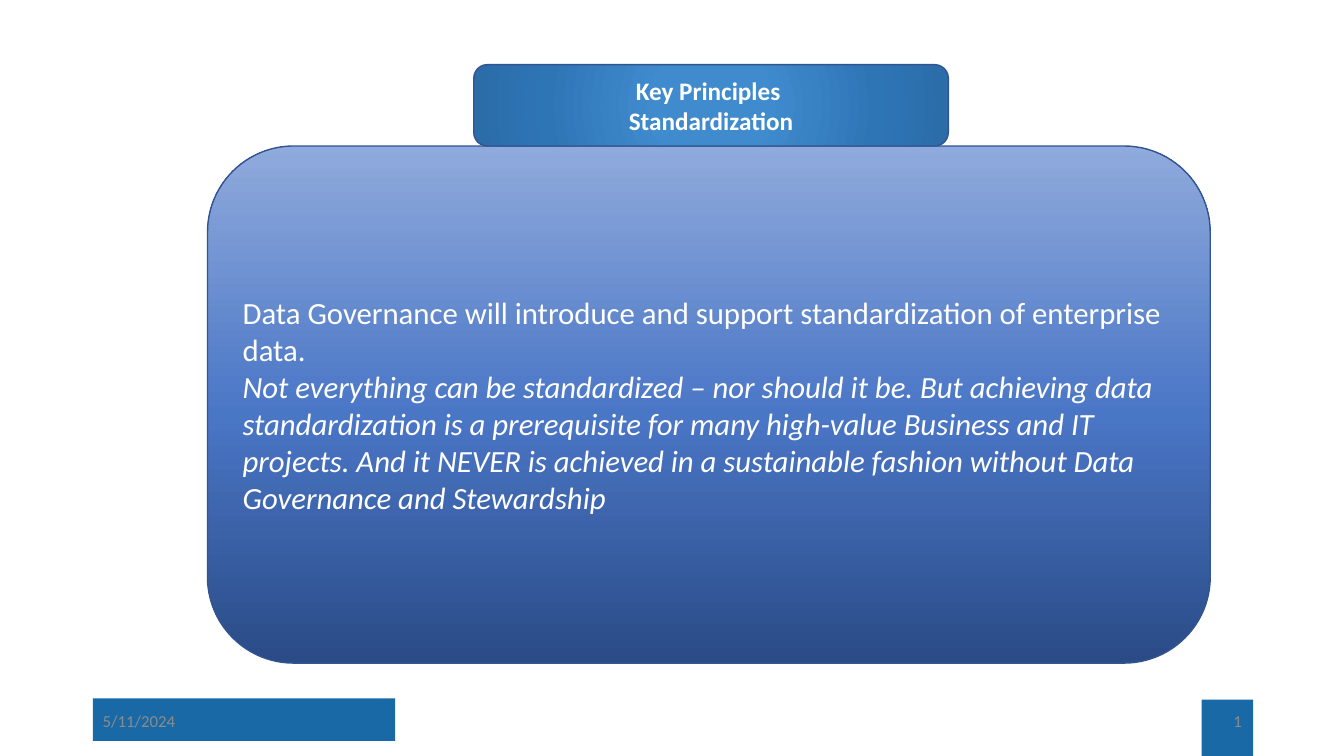
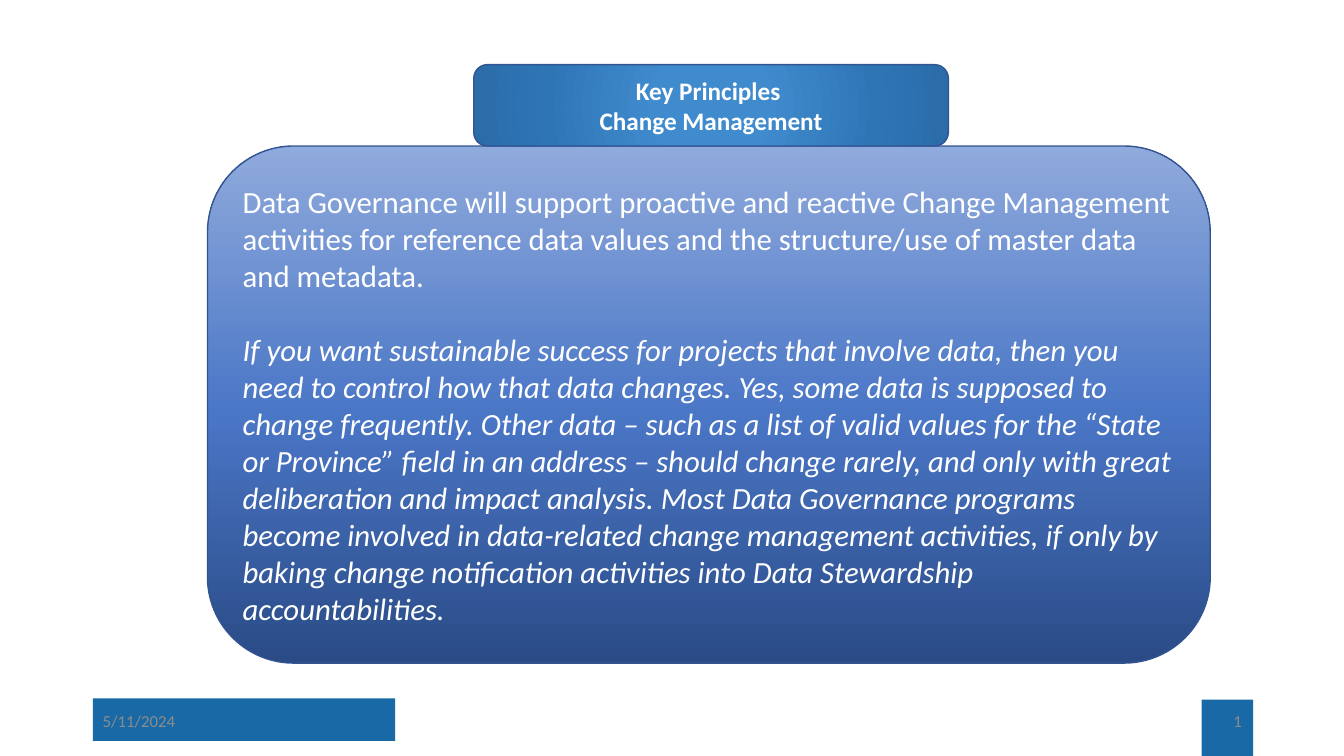
import pptx
import pptx.dml.color
import pptx.enum.shapes
import pptx.enum.text
import pptx.oxml
import pptx.oxml.ns
import pptx.util

Cm, Pt = pptx.util.Cm, pptx.util.Pt
KIND = pptx.enum.shapes.MSO_SHAPE
ALIGN = pptx.enum.text.PP_ALIGN
MIDDLE = pptx.enum.text.MSO_ANCHOR.MIDDLE

# heading, plain statement, italic comment, gap before the comment in points
SLIDES = [
    ("Standardization",
     "Data Governance will introduce and support standardization of "
     "enterprise data.",
     "Not everything can be standardized – nor should it be. But achieving "
     "data standardization is a prerequisite for many high-value Business "
     "and IT projects. And it NEVER is achieved in a sustainable fashion "
     "without Data Governance and Stewardship", 0),
    ("Change Management",
     "Data Governance will support proactive and reactive Change Management "
     "activities for reference data values and the structure/use of master "
     "data and metadata.",
     "If you want sustainable success for projects that involve data, then "
     "you need to control how that data changes. Yes, some data is supposed "
     "to change frequently. Other data – such as a list of valid values for "
     "the “State or Province” field in an address – should change rarely, "
     "and only with great deliberation and impact analysis. Most Data "
     "Governance programs become involved in data-related change management "
     "activities, if only by baking change notification activities into "
     "Data Stewardship accountabilities.", 26.5),
]
TOPIC = "Key Principles "
DATE, NUMBER = "5/11/2024", "1"

FONT = "Calibri"
WHITE, GREY, BAND, EDGE = "FFFFFF", "8C8C8C", "1869A6", "325491"
PANEL_FILL = [(0, "2A4B86"), (48, "4A76C6"), (100, "8FAADC")]
TITLE_FILL = [(0, "408BCE"), (23, "408BCE"), (69, "2E75B6"), (97, "2B6DA9")]
UPWARD = '<a:lin ang="16200000" scaled="0"/>'
RADIAL = ('<a:path path="circle"><a:fillToRect l="50000" t="50000" '
          'r="50000" b="50000"/></a:path>')

# left, top, width, height in centimetres
WIDE, HIGH = 33.87, 19.05
BANDS = [(2.34, 17.6, 7.62, 1.07), (30.28, 17.63, 1.3, HIGH - 17.63)]
DATE_BOX = (2.34, 17.65, 7.62, 1.02)
NUMBER_BOX = (23.93, 17.65, 7.62, 1.02)
TITLE_BOX = (11.94, 1.63, 11.96, 2.05)
PANEL_BOX = (5.23, 3.68, 25.27, 13.03)


def place(box):
    return [Cm(n) for n in box]


def color(code):
    return pptx.dml.color.RGBColor.from_string(code)


def write(shape, lines, size, code, align=ALIGN.LEFT):
    """Fill the shape with paragraphs and return them."""
    frame = shape.text_frame
    frame.word_wrap = True
    frame.vertical_anchor = MIDDLE
    frame.text = "\n".join(lines)
    for para in frame.paragraphs:
        para.alignment = align
        para.font.name = FONT
        para.font.size = Pt(size)
        para.font.color.rgb = color(code)
    return frame.paragraphs


def add_band(slide, box):
    band = slide.shapes.add_shape(KIND.RECTANGLE, *place(box))
    band.shadow.inherit = False
    band.fill.solid()
    band.fill.fore_color.rgb = color(BAND)
    band.line.fill.background()


def add_card(slide, box, stops, shade):
    """Add a rounded rectangle with a gradient fill."""
    card = slide.shapes.add_shape(KIND.ROUNDED_RECTANGLE, *place(box))
    card.shadow.inherit = False
    card.line.color.rgb = color(EDGE)
    card.line.width = Pt(1)
    marks = "".join(
        f'<a:gs pos="{spot * 1000}"><a:srgbClr val="{code}"/></a:gs>'
        for spot, code in stops)
    fill = pptx.oxml.parse_xml(
        f'<a:gradFill {pptx.oxml.ns.nsdecls("a")} rotWithShape="1">'
        f'<a:gsLst>{marks}</a:gsLst>{shade}</a:gradFill>')
    card.element.spPr.find(pptx.oxml.ns.qn("a:prstGeom")).addnext(fill)
    return card


def add_footer(slide):
    for box in BANDS:
        add_band(slide, box)
    for box, text, align in ((DATE_BOX, DATE, ALIGN.LEFT),
                             (NUMBER_BOX, NUMBER, ALIGN.RIGHT)):
        label = slide.shapes.add_textbox(*place(box))
        write(label, [text], 12, GREY, align)


def add_slide(deck, heading, statement, comment, gap):
    slide = deck.slides.add_slide(deck.slide_layouts[6])
    add_footer(slide)
    panel = add_card(slide, PANEL_BOX, PANEL_FILL, UPWARD)
    last = write(panel, [statement, comment], 22, WHITE)[-1]
    last.font.italic = True
    last.space_before = Pt(gap)
    title = add_card(slide, TITLE_BOX, TITLE_FILL, RADIAL)
    for para in write(title, [TOPIC, heading], 18, WHITE, ALIGN.CENTER):
        para.font.bold = True


def main():
    deck = pptx.Presentation()
    deck.slide_width, deck.slide_height = Cm(WIDE), Cm(HIGH)
    for content in SLIDES:
        add_slide(deck, *content)
    deck.save("out.pptx")


if __name__ == "__main__":
    main()
